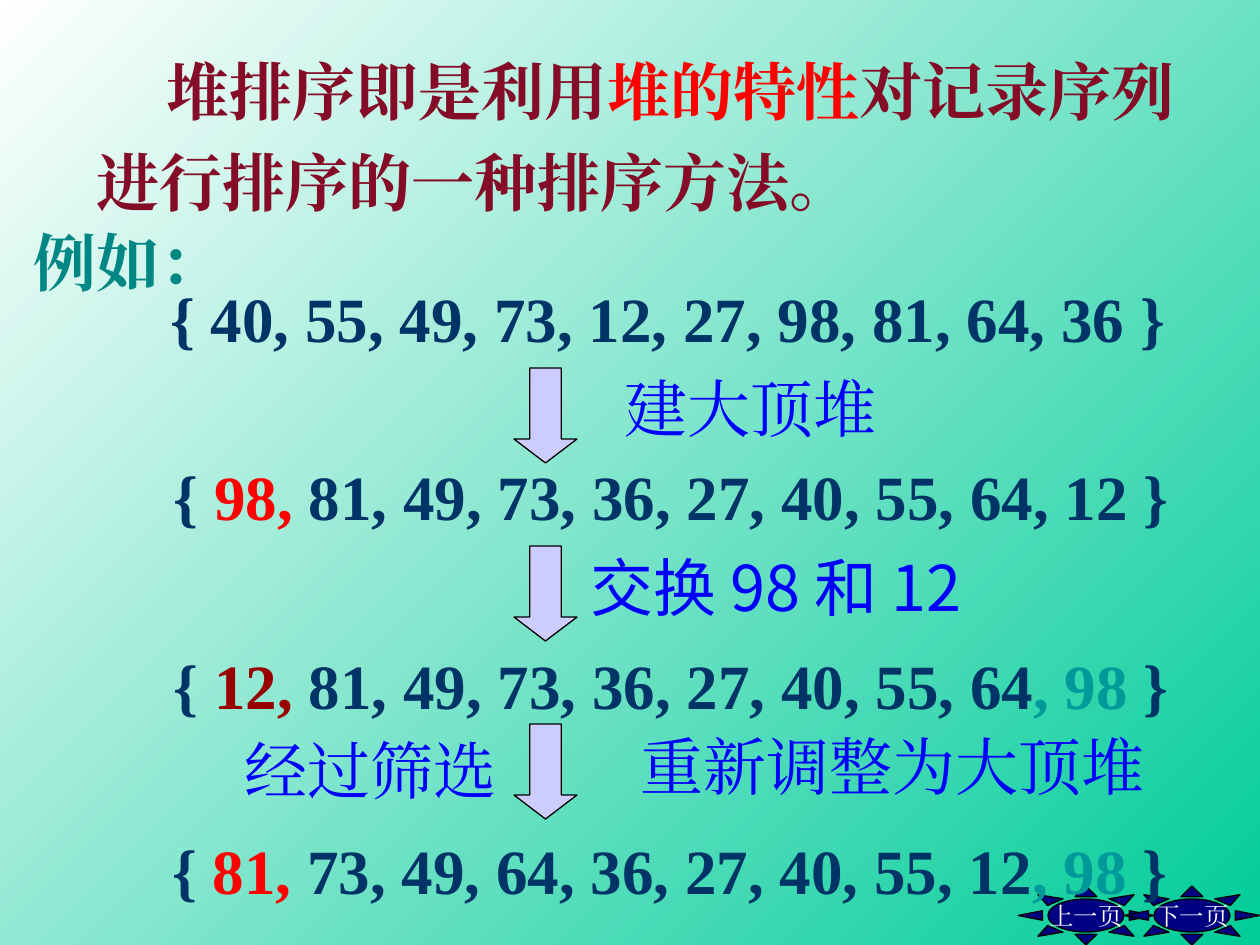
from dataclasses import dataclass

from lxml.etree import SubElement
from pptx import Presentation
from pptx.dml.color import RGBColor
from pptx.enum.shapes import MSO_SHAPE
from pptx.enum.text import MSO_ANCHOR, MSO_AUTO_SIZE, PP_ALIGN
from pptx.oxml.ns import qn
from pptx.util import Emu, Pt

EMU_PER_PX = 914400 / 126


@dataclass(frozen=True)
class Theme:
    serif: str = "Times New Roman"
    sans: str = "Noto Sans CJK SC"
    text_size: int = 36
    button_size: int = 14
    back_start: str = "FFFFFF"
    back_end: str = "00CC99"
    maroon: str = "840C26"
    red: str = "FF0000"
    dark_red: str = "990000"
    teal: str = "008784"
    sorted_teal: str = "009999"
    navy: str = "003366"
    blue: str = "0000FF"
    arrow: str = "CCCCFF"
    button: str = "000082"
    outline: str = "000000"
    white: str = "FFFFFF"


THEME = Theme()

# Spans are (text, colour).
DEFINITION = [
    ("堆排序即是利用", THEME.maroon),
    ("堆的特性", THEME.red),
    ("对记录序列进行排序的一种排序方法。", THEME.maroon),
]
EXAMPLE = [("例如：", THEME.teal)]

# Each sequence: (left, top, spans)
SEQUENCES = [
    (158, 273, [("{ 40, 55, 49, 73, 12, 27, 98, 81, 64, 36 }", THEME.navy)]),
    (161, 451, [("{ ", THEME.navy), ("98,", THEME.red),
                (" 81, 49, 73, 36, 27, 40, 55, 64, 12 }", THEME.navy)]),
    (161, 640, [("{ ", THEME.navy), ("12,", THEME.dark_red),
                (" 81, 49, 73, 36, 27, 40, 55, 64", THEME.navy),
                (", 98", THEME.sorted_teal), (" }", THEME.navy)]),
    (160, 825, [("{ ", THEME.navy), ("81,", THEME.red),
                (" 73, 49, 64, 36, 27, 40, 55, 12", THEME.navy),
                (", 98", THEME.sorted_teal), (" }", THEME.navy)]),
]
# Each step label: (text, left, top, width, font)
STEP_LABELS = [
    ("建大顶堆", 612, 363, 291, THEME.serif),
    ("交换 98 和 12", 578, 542, 512, THEME.sans),
    ("重新调整为大顶堆", 628, 721, 533, THEME.serif),
    ("经过筛选", 232, 725, 281, THEME.serif),
]
BUTTONS = ["上一页", "下一页"]

ROW_WIDTH, ROW_HEIGHT = 1024, 88
ARROW_LEFT, ARROW_TOP, ARROW_PITCH, ARROW_COUNT = 514, 368, 178, 3
BUTTON_LEFT, BUTTON_TOP, BUTTON_PITCH = 1018, 886, 106


def px(value):
    return Emu(round(value * EMU_PER_PX))


def color(value):
    return RGBColor.from_string(value)


def add_spans(para, spans, font=THEME.serif, size=THEME.text_size, bold=False):
    for text, ink in spans:
        span = para.add_run()
        span.text = text
        span.font.name = font
        span.font.size = Pt(size)
        span.font.bold = bold
        span.font.color.rgb = color(ink)
        SubElement(span.font._element, qn("a:ea")).set("typeface", font)


def add_text(page, frame, spans, font=THEME.serif, bold=False, spacing=None):
    box = page.shapes.add_textbox(*map(px, frame))
    box.text_frame.word_wrap = True
    para = box.text_frame.paragraphs[0]
    para.line_spacing = spacing
    add_spans(para, spans, font, bold=bold)


def add_outlined_shape(page, kind, frame, fill):
    shape = page.shapes.add_shape(kind, *map(px, frame))
    shape.shadow.inherit = False
    shape.fill.solid()
    shape.fill.fore_color.rgb = color(fill)
    shape.line.color.rgb = color(THEME.outline)
    shape.line.width = Pt(0.75)
    return shape


def paint_background(page):
    fill = page.background.fill
    fill.gradient()
    fill.gradient_angle = 315
    for stop, place, ink in zip(fill.gradient_stops, (0, 1),
                                (THEME.back_start, THEME.back_end)):
        stop.position = place
        stop.color.rgb = color(ink)


def write_definition(page):
    title = page.shapes.title
    title.left, title.top, title.width, title.height = map(px, (84, 31, 1144, 194))
    frame = title.text_frame
    frame.auto_size = MSO_AUTO_SIZE.NONE
    frame.vertical_anchor = MSO_ANCHOR.TOP
    frame.word_wrap = True
    para = frame.paragraphs[0]
    para.alignment = PP_ALIGN.LEFT
    para.line_spacing = 1.2
    para._p.get_or_add_pPr().set("indent", str(px(70)))
    add_spans(para, DEFINITION, bold=True)


def add_button(page, label, left):
    button = add_outlined_shape(page, MSO_SHAPE.SUN,
                                (left, BUTTON_TOP, 136, 59), THEME.button)
    button.adjustments[0] = 0.22
    frame = button.text_frame
    frame.word_wrap = False
    frame.vertical_anchor = MSO_ANCHOR.MIDDLE
    para = frame.paragraphs[0]
    para.alignment = PP_ALIGN.CENTER
    add_spans(para, [(label, THEME.white)], size=THEME.button_size)


def main():
    deck = Presentation()
    deck.slide_width, deck.slide_height = px(1260), px(945)
    page = deck.slides.add_slide(deck.slide_layouts[5])
    paint_background(page)

    for index, label in enumerate(BUTTONS):
        add_button(page, label, BUTTON_LEFT + index * BUTTON_PITCH)
    write_definition(page)
    add_text(page, (21, 202, 218, 103), EXAMPLE, bold=True, spacing=1.2)
    for index in range(ARROW_COUNT):
        arrow = add_outlined_shape(
            page, MSO_SHAPE.DOWN_ARROW,
            (ARROW_LEFT, ARROW_TOP + index * ARROW_PITCH, 63, 95), THEME.arrow)
        arrow.adjustments[0] = 0.5
        arrow.adjustments[1] = 0.38
    for left, top, spans in SEQUENCES:
        add_text(page, (left, top, ROW_WIDTH, ROW_HEIGHT), spans, bold=True)
    for text, left, top, width, font in STEP_LABELS:
        add_text(page, (left, top, width, ROW_HEIGHT), [(text, THEME.blue)], font)

    deck.save("out.pptx")


if __name__ == "__main__":
    main()
